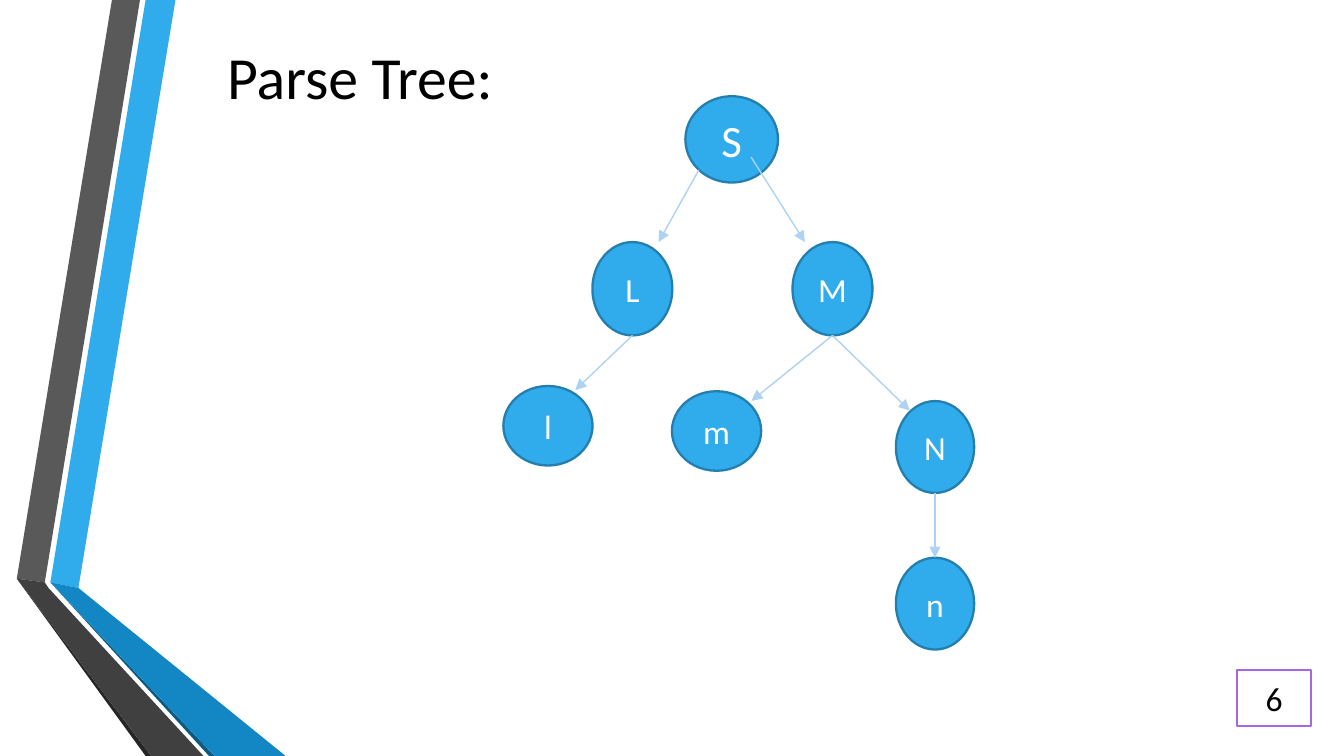
from lxml import etree
from pptx import Presentation
from pptx import util as u
from pptx.dml.color import RGBColor
from pptx.enum import shapes, text
from pptx.oxml.ns import qn

Pt = u.Pt
FONT = "Calibri"
BLACK = RGBColor(0x00, 0x00, 0x00)
WHITE = RGBColor(0xFF, 0xFF, 0xFF)
BLUE = RGBColor(0x30, 0xAC, 0xEC)
BLUE_EDGE = RGBColor(0x24, 0x7F, 0xAF)
BLUE_MID = RGBColor(0x12, 0x87, 0xC3)
BLUE_DARK = RGBColor(0x0C, 0x5A, 0x82)
ARROW = RGBColor(0xAE, 0xD2, 0xF4)
PURPLE = RGBColor(0xA6, 0x66, 0xE1)
GREY = RGBColor(0x59, 0x59, 0x59)
GREY_MID = RGBColor(0x40, 0x40, 0x40)
GREY_DARK = RGBColor(0x26, 0x26, 0x26)

# Folded ribbons on the left: colour and corners
RIBBONS = [
    (BLUE, [(27.4, 312.5), (41.8, 314.6), (93.6, 0), (78.5, 0)]),
    (GREY, [(74.9, 0), (59.8, 0), (8.6, 309.6), (23.8, 311.8)]),
    (GREY_DARK, [(8.6, 309.6), (78.5, 405), (81.4, 405)]),
    (BLUE_DARK, [(27.4, 312.5), (112.3, 405), (115.2, 405)]),
    (BLUE_MID, [(27.4, 312.5), (115.2, 405), (152.8, 405), (41.8, 314.6)]),
    (GREY_MID, [(108.7, 405), (25.9, 315.4), (23.8, 311.8), (8.6, 309.6),
                (81.4, 405)]),
]

# Tree nodes: label, left, top, width, height, text size
NODES = [
    ("S", 367.2, 51.6, 49.6, 46.2, 24),
    ("L", 317.4, 129.7, 42.8, 50, 18),
    ("M", 424.6, 129.7, 42.8, 50, 18),
    ("l", 269.7, 206.8, 47.8, 42.6, 18),
    ("m", 360, 209.6, 47.8, 42.6, 18),
    ("N", 480, 214.9, 41.9, 49.2, 18),
    ("n", 480, 298.8, 41.9, 49.2, 18),
]

# Arrows from parent to child
EDGES = [
    ((402.4, 84.2), (431.2, 129.7)),
    ((374.4, 91), (352.8, 129.7)),
    ((338.8, 179.7), (308.2, 209)),
    ((446, 179.7), (402.6, 214.8)),
    ((446, 179.7), (487.4, 220)),
    ((500.9, 264.1), (500.9, 298.8)),
]


def set_text(shape, label, size, color, align):
    frame = shape.text_frame
    frame.text = label
    frame.word_wrap = True
    frame.vertical_anchor = text.MSO_ANCHOR.MIDDLE
    paragraph = frame.paragraphs[0]
    paragraph.alignment = align
    paragraph.font.name = FONT
    paragraph.font.size = Pt(size)
    paragraph.font.color.rgb = color


def add_ribbon(slide, color, corners):
    builder = slide.shapes.build_freeform(*corners[0], scale=Pt(1))
    builder.add_line_segments(corners[1:], close=True)
    shape = builder.convert_to_shape()
    shape.shadow.inherit = False
    shape.fill.solid()
    shape.fill.fore_color.rgb = color
    shape.line.fill.background()


def add_labelled_shape(slide, kind, box, label, size, fill, edge, color):
    shape = slide.shapes.add_shape(kind, *(Pt(value) for value in box))
    shape.shadow.inherit = False
    shape.fill.solid()
    shape.fill.fore_color.rgb = fill
    shape.line.color.rgb = edge
    shape.line.width = Pt(1.25)
    set_text(shape, label, size, color, text.PP_ALIGN.CENTER)


def add_arrow(slide, start, end):
    connector = slide.shapes.add_connector(
        shapes.MSO_CONNECTOR.STRAIGHT, *(Pt(value) for value in start + end))
    connector.line.color.rgb = ARROW
    connector.line.width = Pt(0.75)
    properties = connector.line._get_or_add_ln()
    etree.SubElement(properties, qn("a:tailEnd"), type="triangle")
    etree.SubElement(connector._element.spPr, qn("a:effectLst"))


def add_title(slide, label):
    title = slide.shapes.title
    title.left, title.top = Pt(114.5), Pt(17.5)
    title.width, title.height = Pt(203), Pt(46)
    set_text(title, label, 32, BLACK, text.PP_ALIGN.LEFT)


def main():
    presentation = Presentation()
    presentation.slide_width, presentation.slide_height = Pt(720), Pt(405)
    slide = presentation.slides.add_slide(presentation.slide_layouts[5])

    # Decoration and title
    for color, corners in RIBBONS:
        add_ribbon(slide, color, corners)
    add_title(slide, "Parse Tree:")

    # Parse tree
    for label, left, top, width, height, size in NODES:
        add_labelled_shape(slide, shapes.MSO_SHAPE.OVAL,
                           (left, top, width, height), label, size,
                           BLUE, BLUE_EDGE, WHITE)
    for start, end in EDGES:
        add_arrow(slide, start, end)

    # Page number
    add_labelled_shape(slide, shapes.MSO_SHAPE.RECTANGLE,
                       (662.6, 358.8, 39.9, 30.2), "6", 18,
                       WHITE, PURPLE, BLACK)
    presentation.save("out.pptx")


if __name__ == "__main__":
    main()
